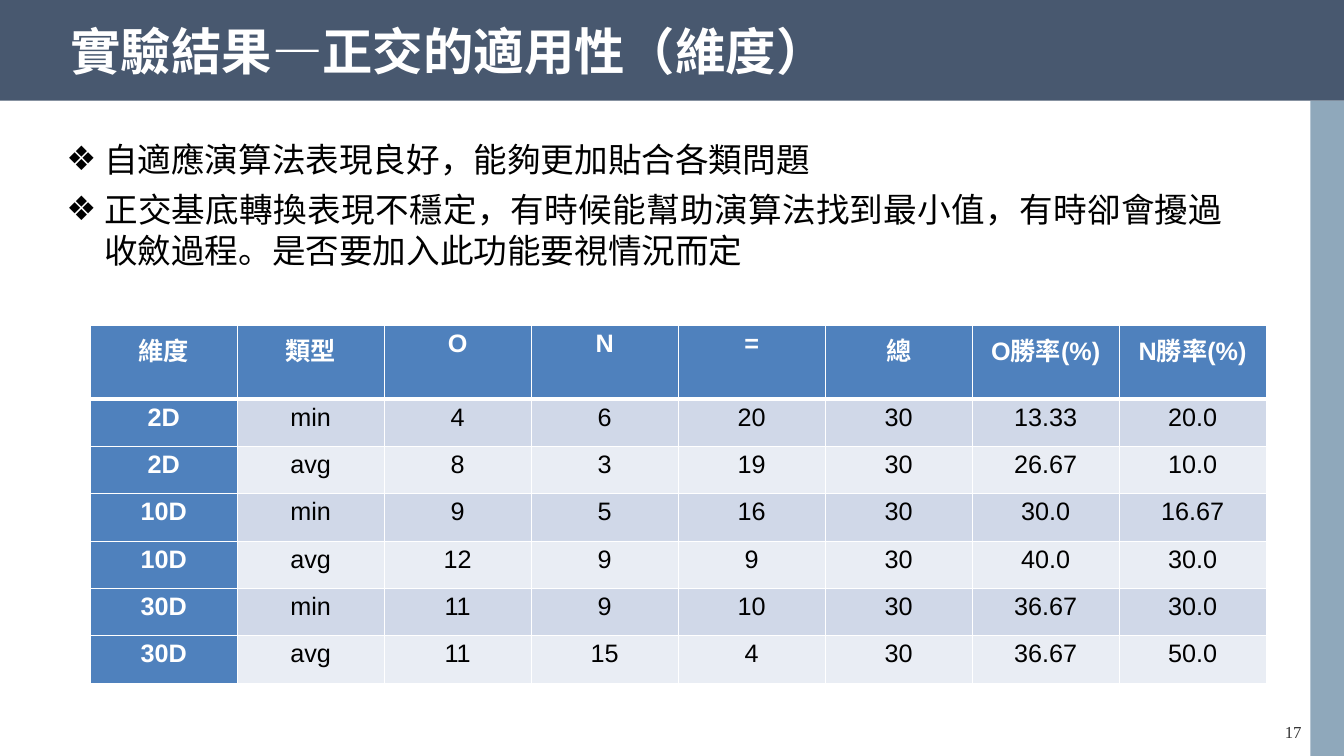
import dataclasses

import lxml.etree
import pptx
import pptx.dml.color
import pptx.enum.shapes
import pptx.enum.text
import pptx.oxml.ns
import pptx.util

Pt = pptx.util.Pt
qn = pptx.oxml.ns.qn
ALIGN = pptx.enum.text.PP_ALIGN
ANCHOR = pptx.enum.text.MSO_ANCHOR


@dataclasses.dataclass(frozen=True)
class Theme:
    """Colours, fonts and type sizes of the slide."""
    banner: str = "48586F"
    side: str = "25557B"
    header: str = "4F81BD"
    bands: tuple = ("D0D8E8", "E9EDF4")
    white: str = "FFFFFF"
    black: str = "000000"
    grey: str = "333333"
    font: str = "Arial"
    number_font: str = "Times New Roman"
    title_size: int = 36
    body_size: int = 24
    table_size: int = 18
    number_size: int = 12


THEME = Theme()
TITLE = "實驗結果—正交的適用性（維度）"
BULLETS = (
    "自適應演算法表現良好，能夠更加貼合各類問題",
    "正交基底轉換表現不穩定，有時候能幫助演算法找到最小值，有時卻會擾過收斂過程。是否要加入此功能要視情況而定",
)
RESULTS = (
    ("維度", "類型", "O", "N", "=", "總", "O勝率(%)", "N勝率(%)"),
    ("2D", "min", "4", "6", "20", "30", "13.33", "20.0"),
    ("2D", "avg", "8", "3", "19", "30", "26.67", "10.0"),
    ("10D", "min", "9", "5", "16", "30", "30.0", "16.67"),
    ("10D", "avg", "12", "9", "9", "30", "40.0", "30.0"),
    ("30D", "min", "11", "9", "10", "30", "36.67", "30.0"),
    ("30D", "avg", "11", "15", "4", "30", "36.67", "50.0"),
)


def rgb(color):
    """Turn a hex string into a colour."""
    return pptx.dml.color.RGBColor.from_string(color)


def sub(parent, tag, **attrs):
    """Append a DrawingML child element."""
    return lxml.etree.SubElement(parent, qn(tag), attrs)


def style_runs(p, size, color, bold=False, font=THEME.font):
    """Format every run of a paragraph."""
    for r in p.runs:
        r.font.size = Pt(size)
        r.font.name = font
        r.font.bold = bold
        r.font.color.rgb = rgb(color)


def add_bar(s, left, top, width, height, color, alpha=None):
    """Add a plain rectangle, optionally with an opacity in percent."""
    sp = s.shapes.add_shape(pptx.enum.shapes.MSO_SHAPE.RECTANGLE,
                            Pt(left), Pt(top), Pt(width), Pt(height))
    sp.shadow.inherit = False
    sp.fill.solid()
    sp.fill.fore_color.rgb = rgb(color)
    sp.line.fill.background()
    if alpha is not None:
        clr = sp.fill._xPr.find(qn("a:solidFill")).find(qn("a:srgbClr"))
        sub(clr, "a:alpha", val=str(alpha * 1000))


def add_text(s, left, top, width, height, text):
    """Add a wrapping text box and return its text frame."""
    tf = s.shapes.add_textbox(Pt(left), Pt(top), Pt(width), Pt(height)).text_frame
    tf.word_wrap = True
    tf.text = text
    return tf


def add_title(s, text):
    """Add the title on the banner."""
    tf = add_text(s, 50.4, 12.24, 892, 53.28, text)
    tf.margin_left = tf.margin_right = tf.margin_top = tf.margin_bottom = 0
    tf.vertical_anchor = ANCHOR.MIDDLE
    p = tf.paragraphs[0]
    p.line_spacing = 0.9
    style_runs(p, THEME.title_size, THEME.white, bold=True)


def add_bullets(s, items):
    """Add the bulleted findings."""
    tf = add_text(s, 40.32, 95.76, 840.24, 120.24, "\n".join(items))
    for p in tf.paragraphs:
        p.alignment = ALIGN.JUSTIFY
        p.space_before = Pt(7)
        style_runs(p, THEME.body_size, THEME.black)
        pPr = p._p.get_or_add_pPr()
        pPr.set("marL", str(Pt(27)))
        pPr.set("indent", str(-Pt(27)))
        sub(sub(pPr, "a:buClr"), "a:srgbClr", val=THEME.black)
        sub(pPr, "a:buFont", typeface=THEME.font)
        sub(pPr, "a:buChar", char="❖")


def add_number(s, text):
    """Add the page number."""
    p = add_text(s, 879.84, 511.92, 87.84, 20.16, text).paragraphs[0]
    p.alignment = ALIGN.CENTER
    style_runs(p, THEME.number_size, THEME.grey, font=THEME.number_font)


def set_borders(cell, top, bottom):
    """Give a cell white borders."""
    tcPr = cell._tc.get_or_add_tcPr()
    for side, width in (("L", 1), ("R", 1), ("T", top), ("B", bottom)):
        ln = sub(tcPr, f"a:ln{side}", w=str(Pt(width)))
        sub(sub(ln, "a:solidFill"), "a:srgbClr", val=THEME.white)


def format_cell(cell, row, col):
    """Style a cell by its place in the table."""
    heading = row == 0 or col == 0
    cell.margin_left = cell.margin_right = Pt(5.4)
    cell.margin_top = cell.margin_bottom = 0
    set_borders(cell, 3 if row == 1 else 1, 3 if row == 0 else 1)
    cell.fill.solid()
    cell.fill.fore_color.rgb = rgb(THEME.header if heading else THEME.bands[(row - 1) % 2])
    p = cell.text_frame.paragraphs[0]
    p.alignment = ALIGN.CENTER
    p.line_spacing = 1.15
    p.space_after = Pt(10)
    style_runs(p, THEME.table_size, THEME.white if heading else THEME.black, heading)


def add_results(s, rows):
    """Add the results table."""
    tbl = s.shapes.add_table(len(rows), len(rows[0]), Pt(64.4), Pt(232.6),
                             Pt(840), Pt(255)).table
    tbl.first_col = True
    for column in tbl.columns:
        column.width = Pt(105)
    for i, values in enumerate(rows):
        tbl.rows[i].height = Pt(33.8 if i else 52.6)
        for j, value in enumerate(values):
            cell = tbl.cell(i, j)
            cell.text_frame.text = value
            format_cell(cell, i, j)


def main():
    """Build the slide and save it."""
    prs = pptx.Presentation()
    prs.slide_width, prs.slide_height = Pt(960), Pt(540)
    s = prs.slides.add_slide(prs.slide_layouts[6])
    add_bar(s, 0, 0, 960, 72, THEME.banner)
    add_bar(s, 936, 72, 24, 468, THEME.side, alpha=51)
    add_number(s, "17")
    add_title(s, TITLE)
    add_bullets(s, BULLETS)
    add_results(s, RESULTS)
    prs.save("out.pptx")


if __name__ == "__main__":
    main()
